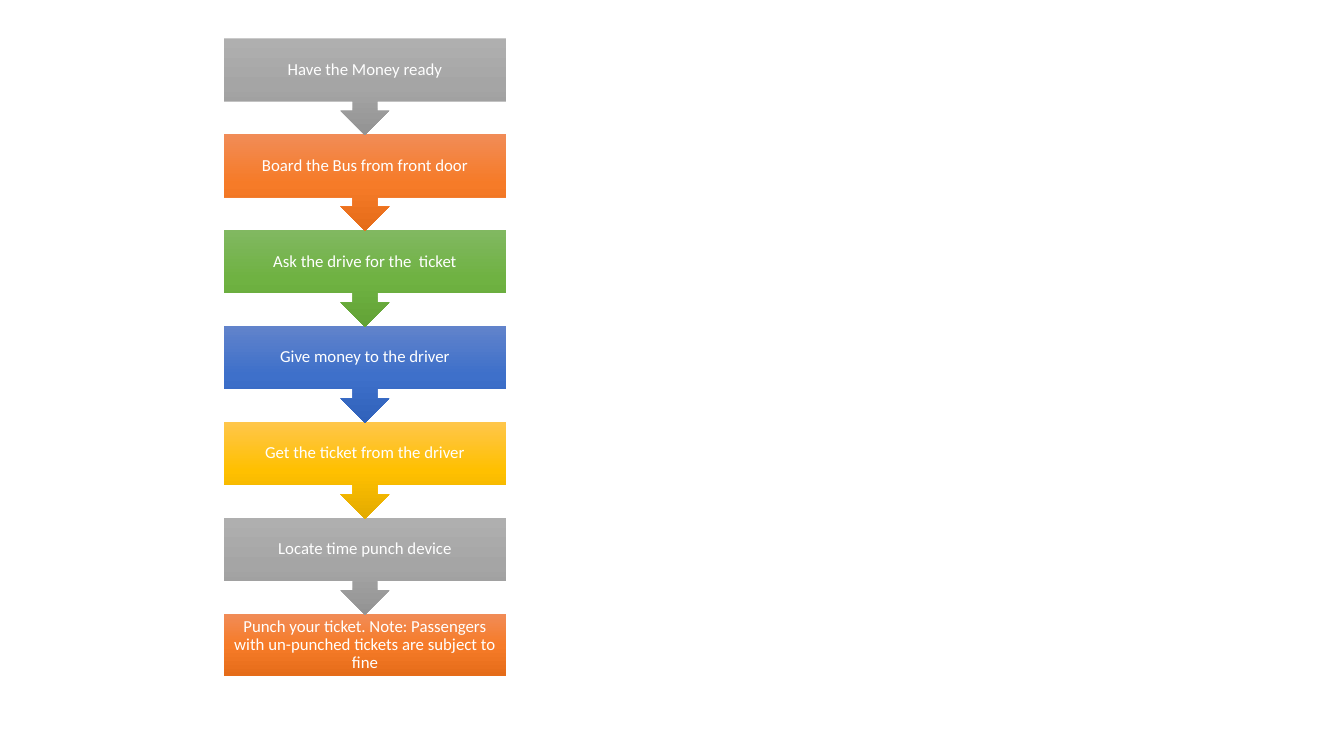
import copy
import dataclasses

import pptx
import pptx.dml.color
import pptx.enum.shapes
import pptx.enum.text
import pptx.oxml.ns
import pptx.util

Inches = pptx.util.Inches
Shape = pptx.enum.shapes.MSO_SHAPE


@dataclasses.dataclass(frozen=True)
class Theme:
    """Colours and type for the slide; gradients run from top to bottom."""
    font: str = "Calibri"
    size: int = 12
    text: str = "FFFFFF"
    gray: tuple = ("AFAFAF", "A5A5A5", "939393")
    orange: tuple = ("F18C57", "F67B28", "E56C19")
    green: tuple = ("81B861", "6FB242", "62A336")
    blue: tuple = ("6183CB", "3E70CA", "3062BB")
    gold: tuple = ("FFC64B", "FFC000", "E3AB00")


class FlowSlide:
    """Holds the theme and the current slide, and draws flow steps."""

    def __init__(self, theme, slide):
        """Keep the theme and slide."""
        self.theme = theme
        self.slide = slide

    def gradient(self, shape, colors):
        """Fill a shape with an evenly spaced vertical gradient."""
        fill = shape.fill
        fill.gradient()
        fill.gradient_angle = 270
        stop_list = shape._element.spPr.find(".//" + pptx.oxml.ns.qn("a:gsLst"))
        while len(stop_list) < len(colors):
            stop_list.append(copy.deepcopy(stop_list[0]))
        for index, (stop, color) in enumerate(zip(fill.gradient_stops, colors)):
            stop.position = index / (len(colors) - 1)
            stop.color.rgb = pptx.dml.color.RGBColor.from_string(color)

    def step(self, kind, left, top, width, height, colors, words):
        """Draw one step with its text centred in the box."""
        shape = self.slide.shapes.add_shape(
            kind, Inches(left), Inches(top), Inches(width), Inches(height))
        shape.shadow.inherit = False
        shape.line.fill.background()
        self.gradient(shape, colors)
        self.label(shape.text_frame, words)
        return shape

    def label(self, frame, words):
        """Write centred text in a step."""
        frame.word_wrap = True
        frame.vertical_anchor = pptx.enum.text.MSO_ANCHOR.MIDDLE
        frame.margin_left = frame.margin_right = Inches(0.09)
        frame.margin_top = frame.margin_bottom = Inches(0.09)
        para = frame.paragraphs[0]
        para.alignment = pptx.enum.text.PP_ALIGN.CENTER
        para.line_spacing = 0.9
        span = para.add_run()
        span.text = words
        span.font.name = self.theme.font
        span.font.size = pptx.util.Pt(self.theme.size)
        span.font.color.rgb = pptx.dml.color.RGBColor.from_string(self.theme.text)


LEFT, FIRST_TOP, LAST_TOP = 2.22, 0.38, 6.09
WIDTH, BOX_HEIGHT, CALLOUT_HEIGHT = 2.8, 0.62, 0.96
STEPS = [
    "Have the Money ready",
    "Board the Bus from front door",
    "Ask the drive for the  ticket",
    "Give money to the driver",
    "Get the ticket from the driver",
    "Locate time punch device",
    "Punch your ticket. Note: Passengers with un-punched tickets are subject to fine",
]


def main():
    """Build the ticket-buying flow and save it."""
    deck = pptx.Presentation()
    deck.slide_width, deck.slide_height = Inches(13.33), Inches(7.5)
    theme = Theme()
    page = FlowSlide(theme, deck.slides.add_slide(deck.slide_layouts[6]))
    cycle = [theme.gray, theme.orange, theme.green, theme.blue, theme.gold]
    last = len(STEPS) - 1
    pitch = (LAST_TOP - FIRST_TOP) / last

    # Bottom step first, so each arrow tip lies over the step below it.
    for index in reversed(range(len(STEPS))):
        kind, height = Shape.DOWN_ARROW_CALLOUT, CALLOUT_HEIGHT
        if index == last:
            kind, height = Shape.RECTANGLE, BOX_HEIGHT
        page.step(kind, LEFT, FIRST_TOP + index * pitch, WIDTH, height,
                  cycle[index % len(cycle)], STEPS[index])
    deck.save("out.pptx")


main()
